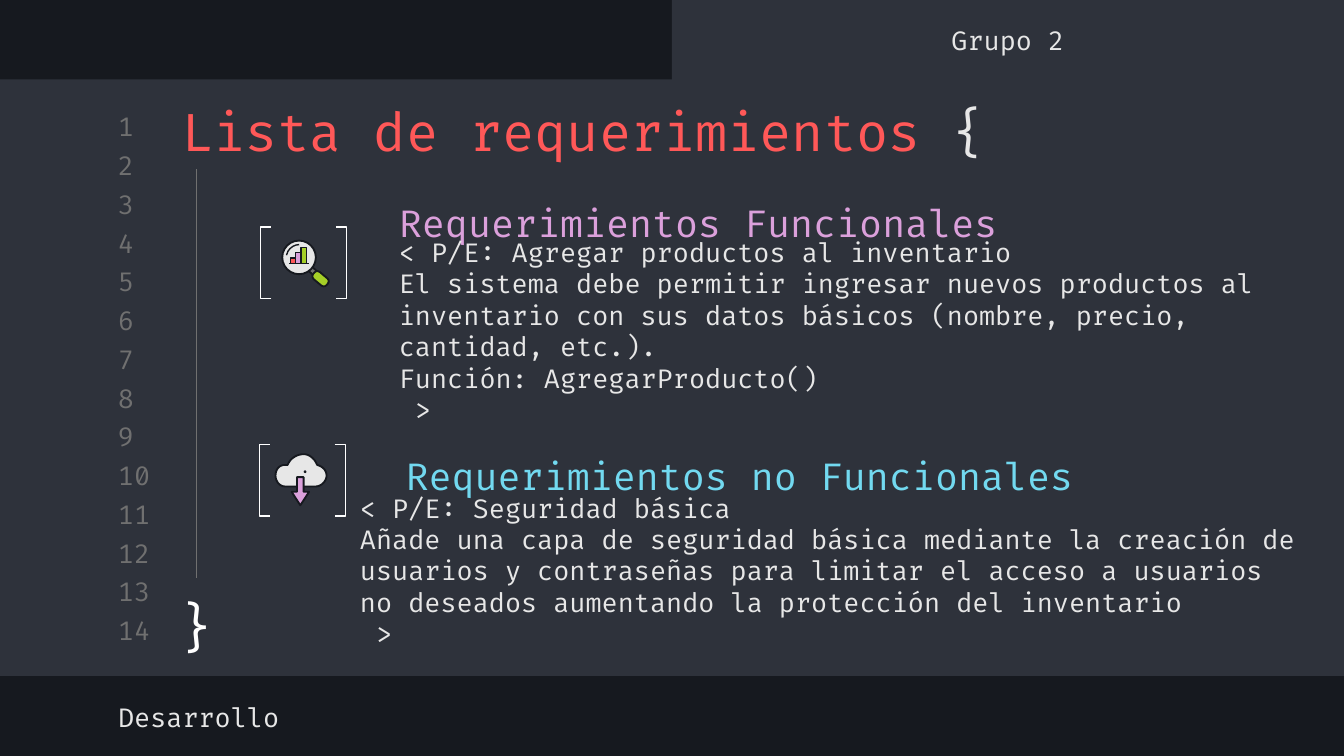
from lxml import etree
from pptx import Presentation
from pptx.dml.color import RGBColor
from pptx.enum.shapes import MSO_CONNECTOR, MSO_SHAPE
from pptx.enum.text import MSO_ANCHOR, PP_ALIGN
from pptx.oxml.ns import qn
from pptx.util import Inches, Pt

RECT, OVAL, ROUNDED = MSO_SHAPE.RECTANGLE, MSO_SHAPE.OVAL, MSO_SHAPE.ROUNDED_RECTANGLE
ARC, DOWN = MSO_SHAPE.ARC, MSO_SHAPE.DOWN_ARROW
LEFT_BRACKET, RIGHT_BRACKET = MSO_SHAPE.LEFT_BRACKET, MSO_SHAPE.RIGHT_BRACKET
STRAIGHT = MSO_CONNECTOR.STRAIGHT
TOP, MIDDLE = MSO_ANCHOR.TOP, MSO_ANCHOR.MIDDLE
LEFT, CENTER = PP_ALIGN.LEFT, PP_ALIGN.CENTER

FONT = "Fira Code"
LINE_COUNT = 14
COLORS = {
    "ink": "16191F", "panel": "2E323B", "grey": "707070", "text": "E7E7E7",
    "white": "FFFFFF", "red": "FF5858", "purple": "DBA0DB", "cyan": "72D9F0",
    "green": "A5CF27",
}
CLOUD_START = (0.33, 0.07)
CLOUD_CURVES = [
    ((0.28, 0.07), (0.23, 0.1), (0.21, 0.15)),
    ((0.2, 0.15), (0.2, 0.15), (0.19, 0.15)),
    ((0.15, 0.15), (0.12, 0.18), (0.12, 0.23)),
    ((0.12, 0.27), (0.15, 0.31), (0.19, 0.31)),
    ((0.27, 0.31), (0.35, 0.31), (0.42, 0.31)),
    ((0.46, 0.31), (0.5, 0.27), (0.5, 0.23)),
    ((0.5, 0.19), (0.47, 0.16), (0.43, 0.15)),
    ((0.41, 0.1), (0.37, 0.07), (0.33, 0.07)),
]


def rgb(name):
    """Return the named palette colour."""
    return RGBColor.from_string(COLORS[name])


def paint(shape, fill=None, line=None, width=0.75):
    """Set fill and line of a shape and remove its shadow."""
    shape.shadow.inherit = False
    for part, color in ((shape.fill, fill), (shape.line.fill, line)):
        if color:
            part.solid()
            part.fore_color.rgb = rgb(color)
        else:
            part.background()
    if line:
        shape.line.width = Pt(width)
    return shape


def place(slide, kind, box, adjust=(), rotation=0, **style):
    """Add a painted preset shape."""
    shape = slide.shapes.add_shape(kind, *map(Inches, box))
    for index, value in enumerate(adjust):
        shape.adjustments[index] = value
    shape.rotation = rotation
    return paint(shape, **style)


def line(slide, start, end, color, width=0.75):
    """Add a straight line without a shadow."""
    connector = slide.shapes.add_connector(STRAIGHT, *map(Inches, start + end))
    connector.line.color.rgb = rgb(color)
    connector.line.width = Pt(width)
    etree.SubElement(connector._element.spPr, qn("a:effectLst"))


def write(slide, box, paragraphs, size=14, anchor=MIDDLE, align=LEFT):
    """Add a text box from paragraphs of (text, colour) runs."""
    frame = slide.shapes.add_textbox(*map(Inches, box)).text_frame
    layout = {"word_wrap": True, "vertical_anchor": anchor}
    layout |= {f"margin_{side}": Inches(0.1) for side in ("left", "top", "right", "bottom")}
    for name, value in layout.items():
        setattr(frame, name, value)
    for index, runs in enumerate(paragraphs):
        paragraph = frame.add_paragraph() if index else frame.paragraphs[0]
        paragraph.alignment = align
        for text, color in runs:
            run = paragraph.add_run()
            run.text = text
            run.font.name, run.font.size = FONT, Pt(size)
            run.font.color.rgb = rgb(color)


def curve_points(start, curves, steps=8):
    """Sample a chain of cubic curves."""
    points = [start]
    for a, b, end in curves:
        origin = points[-1]
        for step in range(1, steps + 1):
            t = step / steps
            weights = ((1 - t) ** 3, 3 * t * (1 - t) ** 2, 3 * t * t * (1 - t), t ** 3)
            points.append(tuple(
                sum(w * p[axis] for w, p in zip(weights, (origin, a, b, end)))
                for axis in (0, 1)))
    return points


def magnifier(slide, x, y):
    """Draw a magnifying glass over a bar chart."""
    place(slide, RECT, (x + 0.36, y + 0.31, 0.06, 0.04), rotation=42, fill="grey", line="ink", width=1)
    place(slide, ROUNDED, (x + 0.38, y + 0.35, 0.13, 0.07), (0.4,), 40,
          fill="green", line="ink", width=1)
    place(slide, OVAL, (x + 0.16, y + 0.1, 0.25, 0.25), fill="text", line="ink", width=1)
    place(slide, ARC, (x + 0.19, y + 0.13, 0.2, 0.2), (115.2, 160.8), line="ink")
    base = y + 0.27
    for index, color in enumerate(("red", "purple", "green")):
        height = 0.04 * (index + 1)
        place(slide, RECT, (x + 0.22 + 0.04 * index, base - height, 0.04, height),
              fill=color, line="ink")
    line(slide, (x + 0.21, base), (x + 0.36, base), "ink")


def cloud(slide, x, y):
    """Draw a cloud with a download arrow."""
    points = [(Inches(x + dx), Inches(y + dy))
              for dx, dy in curve_points(CLOUD_START, CLOUD_CURVES)]
    outline = slide.shapes.build_freeform(*points[0])
    outline.add_line_segments(points[1:], close=True)
    paint(outline.convert_to_shape(), "text", "ink", 1)
    place(slide, DOWN, (x + 0.24, y + 0.24, 0.13, 0.21), (0.38, 0.77),
          fill="purple", line="ink", width=1)
    place(slide, OVAL, (x + 0.33, y + 0.19, 0.02, 0.02), fill="ink")


def frame_panels(slide):
    """Draw the editor panels with their header and footer labels."""
    for box in ((0, 0.59, 10, 4.44), (5, 0, 5, 0.69)):
        place(slide, RECT, box, fill="panel")
    write(slide, (0.78, 5.14, 5.32, 0.39), [[("Desarrollo", "text")]])
    write(slide, (5, 0.1, 5, 0.39), [[("Grupo 2", "text")]], align=CENTER)


def code_block(slide, x, y):
    """Number the lines and draw the title with its closing brace."""
    pitch = 3.75 / (LINE_COUNT - 1)
    for index in range(LINE_COUNT):
        write(slide, (x, y + 0.18 + pitch * index, 0.47, 0.24), [[(str(index + 1), "grey")]])
    write(slide, (x + 0.47, y, 7.97, 0.59),
          [[("Lista de requerimientos ", "red"), ("{", "text")]], 28, TOP)
    write(slide, (x + 0.41, y + 3.68, 0.55, 0.67), [[("}", "white")]], 28, TOP, CENTER)
    line(slide, (x + 0.68, y + 0.62), (x + 0.68, y + 3.66), "grey")


def requirement(slide, x, y, icon, heading, color, heading_at, body, body_box):
    """Place a bracketed icon, a heading and its body around one origin."""
    icon(slide, x, y)
    for kind, offset in ((LEFT_BRACKET, 0), (RIGHT_BRACKET, 0.56)):
        place(slide, kind, (x + offset, y, 0.08, 0.53), (0,), line="white")
    dx, dy = heading_at
    write(slide, (x + dx, y + dy, 5.48, 0.37), [[(heading, color)]], 20)
    dx, dy, width, height = body_box
    write(slide, (x + dx, y + dy, width, height), [[(text, "text")] for text in body])


def main():
    """Build and save the slide."""
    deck = Presentation()
    deck.slide_width = Inches(10)
    deck.slide_height = deck.slide_width * 9 // 16
    slide = deck.slides.add_slide(deck.slide_layouts[6])
    slide.background.fill.solid()
    slide.background.fill.fore_color.rgb = rgb("ink")
    frame_panels(slide)
    code_block(slide, 0.78, 0.64)
    requirement(
        slide, 1.94, 1.69, magnifier, "Requerimientos Funcionales", "purple", (0.93, -0.22),
        ["< P/E: Agregar productos al inventario",
         "El sistema debe permitir ingresar nuevos productos al inventario con sus datos "
         "básicos (nombre, precio, cantidad, etc.).",
         "Función: AgregarProducto()", " >"], (0.93, 0.35, 6.67, 0.84))
    requirement(
        slide, 1.93, 3.31, cloud, "Requerimientos no Funcionales", "cyan", (0.99, 0.04),
        ["< P/E: Seguridad básica",
         "Añade una capa de seguridad básica mediante la creación de usuarios y contraseñas "
         "para limitar el acceso a usuarios no deseados aumentando la protección del inventario",
         " >"], (0.65, 0.62, 7.22, 0.63))
    deck.save("out.pptx")


if __name__ == "__main__":
    main()
